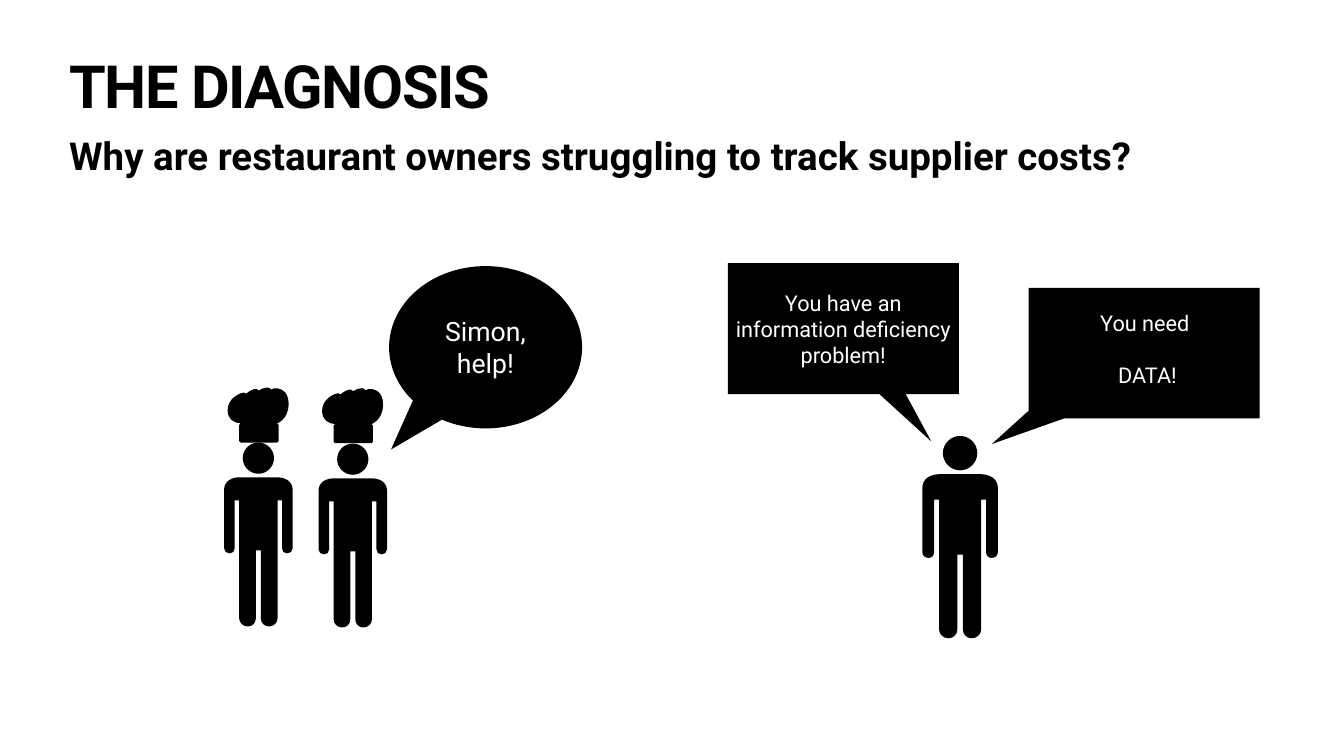
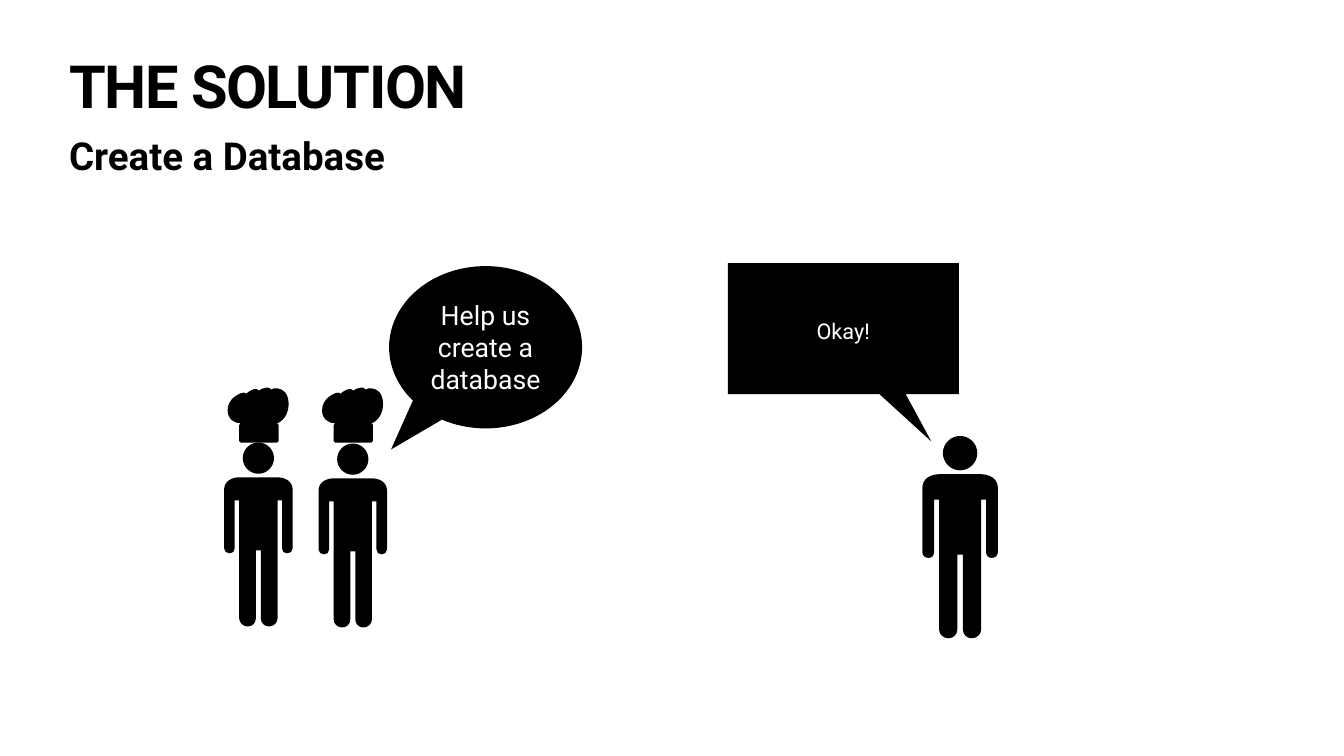
import copy
from dataclasses import dataclass

import pptx
import pptx.dml.color
import pptx.enum.shapes
import pptx.enum.text
import pptx.oxml.ns
import pptx.util
import lxml.etree


@dataclass(frozen=True)
class Theme:
    ink: str = "000000"
    paper: str = "FFFFFF"
    font: str = "Roboto"
    title: int = 85
    subtitle: int = 55
    shout: int = 38
    reply: int = 31


T = Theme()
COLS, ROWS = 80, 45              # grid of square cells
CELL = pptx.util.Pt(24)
PAD = 0.18                       # text box inset in cells

# Figure outlines, in figure units from the top of the head.
# Two numbers are a line to a point, six are a Bezier curve.
HEAD = [
    (0, 0), (-0.17, 0, -0.31, 0.14, -0.31, 0.31),
    (-0.31, 0.48, -0.17, 0.62, 0, 0.62),
    (0.17, 0.62, 0.31, 0.48, 0.31, 0.31), (0.31, 0.14, 0.17, 0, 0, 0),
]
HALF_BODY = [
    (-0.38, 0.69), (-0.49, 0.69, -0.59, 0.74, -0.62, 0.78),
    (-0.68, 0.84, -0.68, 0.92, -0.68, 0.95), (-0.68, 2.1),
    (-0.68, 2.16, -0.63, 2.2, -0.57, 2.2),
    (-0.51, 2.2, -0.47, 2.16, -0.47, 2.1), (-0.47, 1.15),
    (-0.38, 1.15), (-0.38, 3.49),
    (-0.38, 3.58, -0.3, 3.65, -0.21, 3.65),
    (-0.12, 3.65, -0.05, 3.58, -0.05, 3.49), (-0.05, 2.14),
]
HAT = [
    (0.18, -1.09), (0.17, -1.09, 0.16, -1.09, 0.16, -1.09),
    (0.09, -1.08, 0.05, -1.06, 0.01, -1.03),
    (-0.01, -1.06, -0.05, -1.07, -0.08, -1.06),
    (-0.11, -1.05, -0.16, -1.04, -0.24, -0.97),
    (-0.26, -1, -0.31, -0.99, -0.34, -0.98),
    (-0.37, -0.97, -0.61, -0.88, -0.61, -0.64),
    (-0.61, -0.46, -0.47, -0.38, -0.35, -0.38),
    (-0.36, -0.38, -0.38, -0.36, -0.38, -0.35), (-0.38, -0.03),
    (-0.38, -0.02, -0.36, 0, -0.35, 0), (0.37, 0),
    (0.39, 0, 0.4, -0.02, 0.4, -0.03), (0.4, -0.35),
    (0.4, -0.36, 0.39, -0.38, 0.37, -0.38),
    (0.37, -0.38, 0.59, -0.45, 0.6, -0.75),
    (0.6, -0.92, 0.55, -0.99, 0.49, -1.03),
    (0.44, -1.07, 0.32, -1.1, 0.25, -1.05),
    (0.24, -1.08, 0.21, -1.09, 0.18, -1.09),
]

# Speech boxes, in columns and rows
LEFT_BOX = [(43.32, 15.66), (43.32, 23.46), (52.35, 23.46), (55.44, 26.28),
            (53.91, 23.46), (57.07, 23.46), (57.07, 15.66)]
RIGHT_BOX = [(61.23, 17.13), (61.23, 24.45), (59.04, 26.43), (63.36, 24.9),
             (74.98, 24.9), (74.98, 17.13)]


def cells(*values):
    return [round(v * CELL) for v in values]


def rgb(code):
    return pptx.dml.color.RGBColor.from_string(code)


# Outlines
def mirrored(half):
    """Add the right half of an outline, walked back to the start."""
    right = [(-half[-1][-2], half[-1][-1])]
    for prev, seg in zip(half[-2::-1], half[:0:-1]):
        end = (-prev[-2], prev[-1])
        if len(seg) == 6:
            x1, y1, x2, y2 = seg[:4]
            end = (-x2, y2, -x1, y1) + end
        right.append(end)
    return half + right


def placed(outline, cx, top, scale):
    return [cells(*((cx, top)[i % 2] + v * scale for i, v in enumerate(seg)))
            for seg in outline]


def ink(shape):
    shape.shadow.inherit = False
    shape.fill.solid()
    shape.fill.fore_color.rgb = rgb(T.ink)
    shape.line.fill.background()


def bend(shape, segments):
    """Turn the steps that have control points into curves."""
    qn = pptx.oxml.ns.qn
    steps = [e for e in shape._element.iter(qn("a:moveTo"), qn("a:lnTo"))]
    for step, seg in zip(steps, segments):
        if len(seg) == 6:
            curve = lxml.etree.Element(qn("a:cubicBezTo"))
            for x, y in zip(seg[::2], seg[1::2]):
                pt = copy.deepcopy(step[0])
                pt.set("x", str(x - shape.left))
                pt.set("y", str(y - shape.top))
                curve.append(pt)
            step.getparent().replace(step, curve)


def silhouette(shapes, outlines, cx=0, top=0, scale=1):
    contours = [placed(outline, cx, top, scale) for outline in outlines]
    fb = shapes.build_freeform(*contours[0][0])
    for i, contour in enumerate(contours):
        if i:
            fb.move_to(*contour[0])
        fb.add_line_segments([seg[-2:] for seg in contour[1:]], close=True)
    shape = fb.convert_to_shape()
    bend(shape, [seg for contour in contours for seg in contour])
    ink(shape)


# Figures
def person(shapes, cx, top, scale):
    silhouette(shapes, [HEAD, mirrored(HALF_BODY)], cx, top, scale)


def chef(shapes, cx, top, hat_base, scale=3):
    silhouette(shapes, [HAT], cx, hat_base, scale)
    person(shapes, cx, top, scale)


def cast(s, second_hat_base):
    shapes = s.shapes.add_group_shape().shapes
    chef(shapes, 15.38, 26.34, 26.34)
    chef(shapes, 21, 26.4, second_hat_base)
    person(shapes, 57.15, 25.95, 3.3)


# Text
def text_box(shapes, x, y, w, h, pad=PAD):
    tf = shapes.add_textbox(*cells(x, y, w, h)).text_frame
    tf.word_wrap = True
    tf.margin_left = tf.margin_right = cells(pad)[0]
    tf.margin_top = tf.margin_bottom = cells(pad)[0]
    return tf


def add_run(p, text, size, color, bold=False):
    r = p.add_run()
    r.text = text
    r.font.name = T.font
    r.font.size = pptx.util.Pt(size)
    r.font.bold = bold
    r.font.color.rgb = rgb(color)
    return r


def heading(s, title, subtitle):
    p = text_box(s.shapes, 3.96, 3.54, 72.1, 4.71).paragraphs[0]
    p.line_spacing = 0.8
    r = add_run(p, title, T.title, T.ink, True)
    r.font._element.set("spc", "-200")
    p = text_box(s.shapes, 3.96, 7.7, 72.1, 3.06, 0.15).paragraphs[0]
    add_run(p, subtitle, T.subtitle, T.ink, True)


def speech(shapes, paragraphs, lines, cx, cy, w, size):
    """Centre a box of the given number of lines on (cx, cy)."""
    h = lines * size * 1.2 / 24 + 2 * PAD
    tf = text_box(shapes, cx - w / 2, cy - h / 2, w, h)
    tf.vertical_anchor = pptx.enum.text.MSO_ANCHOR.MIDDLE
    tf.auto_size = pptx.enum.text.MSO_AUTO_SIZE.SHAPE_TO_FIT_TEXT
    for i, text in enumerate(paragraphs):
        p = tf.add_paragraph() if i else tf.paragraphs[0]
        p.alignment = pptx.enum.text.PP_ALIGN.CENTER
        if i:
            p.space_before = pptx.util.Pt(size * 1.2)
        add_run(p, text, size, T.paper)


# Speech bubbles
def round_bubble(s, text, lines):
    shapes = s.shapes.add_group_shape().shapes
    sp = shapes.add_shape(pptx.enum.shapes.MSO_SHAPE.OVAL_CALLOUT,
                          *cells(23.16, 15.84, 11.49, 9.66))
    sp.adjustments[0], sp.adjustments[1] = -0.49, 0.63
    ink(sp)
    speech(shapes, [text], lines, 28.9, 20.66, 8.13, T.shout)


def box_bubble(s, outline, paragraphs, lines, cx, cy, w):
    shapes = s.shapes.add_group_shape().shapes
    silhouette(shapes, [outline])
    speech(shapes, paragraphs, lines, cx, cy, w, T.reply)


def scene(prs, title, subtitle, plea, plea_lines, answer, answer_lines,
          answer_cy, second_hat_base):
    s = prs.slides.add_slide(prs.slide_layouts[6])
    heading(s, title, subtitle)
    round_bubble(s, plea, plea_lines)
    box_bubble(s, LEFT_BOX, [answer], answer_lines, 50.19, answer_cy, 13.74)
    cast(s, second_hat_base)
    return s


def main():
    prs = pptx.Presentation()
    prs.slide_width, prs.slide_height = cells(COLS, ROWS)

    # Diagnosis
    s = scene(prs, "THE DIAGNOSIS",
              "Why are restaurant owners struggling to track supplier costs?",
              "Simon, help!", 2,
              "You have an information deficiency problem!", 3, 19.58, 26.38)
    box_bubble(s, RIGHT_BOX, ["You need ", "DATA!"], 3, 68.3, 20.76, 15.93)

    # Solution
    scene(prs, "THE SOLUTION", "Create a Database",
          "Help us create a database", 3, "Okay!", 1, 19.72, 26.34)

    prs.save("out.pptx")


if __name__ == "__main__":
    main()
